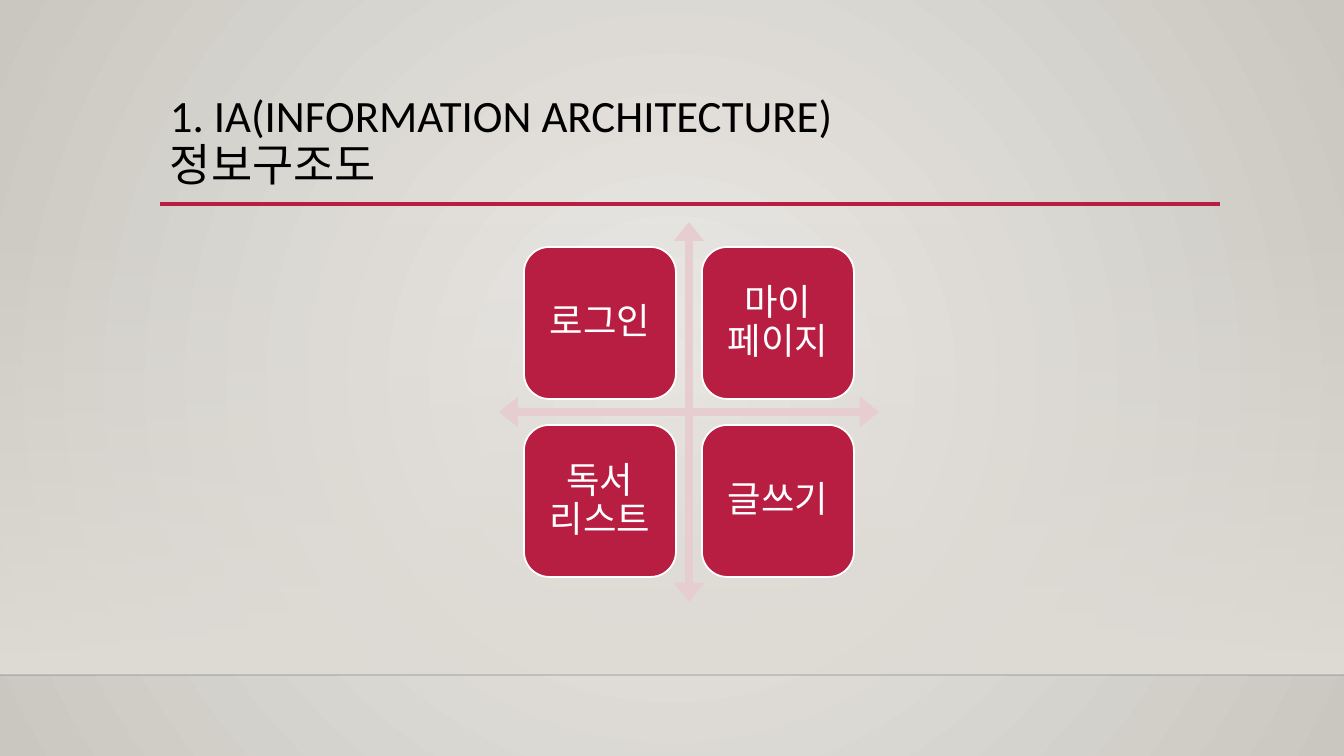
import pptx
import pptx.util
import pptx.oxml.ns
import pptx.oxml.xmlchemy
import pptx.dml.color
import pptx.enum.shapes
import pptx.enum.text
from dataclasses import dataclass

TITLE = ["1. IA(INFORMATION ARCHITECTURE)", "정보구조도"]
TILES = [["로그인", "마이 페이지"], ["독서 리스트", "글쓰기"]]

PAGE = (1344, 756)
HEAD = (160, 89, 1058, 116)
WALL = (0, 223, 1344, 452)
CROSS = (499, 222, 380, 380)
ARROW = (0.02, 0.04, 0.05)
START = (524, 247)
SIDE, PITCH, INSET = 152, 178, 11


@dataclass(frozen=True)
class Theme:
    font: str = "Calibri"
    head: int = 32
    tile: int = 26
    black: str = "000000"
    white: str = "FFFFFF"
    red: str = "B71E42"
    pink: str = "E6CDCF"
    glow: str = "ECEAE7"
    edge: str = "CAC7C1"
    wall: str = "DFDBD5"
    seam: str = "000001"


theme = Theme()
SHAPE = pptx.enum.shapes.MSO_SHAPE
ANCHOR = pptx.enum.text.MSO_ANCHOR
ALIGN = pptx.enum.text.PP_ALIGN


def px(num):
    return pptx.util.Emu(round(num * 914400 / 100.8))


def rgb(code):
    return pptx.dml.color.RGBColor.from_string(code)


def tag(parent, name, **attrs):
    node = pptx.oxml.xmlchemy.OxmlElement(name)
    for key, val in attrs.items():
        node.set(key, str(val))
    parent.append(node)
    return node


def find(node, name):
    return next(node.iter(pptx.oxml.ns.qn(name)))


def blend(fill, *codes):
    fill.gradient()
    for stop, code, pos in zip(fill.gradient_stops, codes, (0, 1)):
        stop.color.rgb = rgb(code)
        stop.position = pos


def rule(slide, left, right, top, code, width):
    line = slide.shapes.add_connector(
        pptx.enum.shapes.MSO_CONNECTOR.STRAIGHT,
        px(left), px(top), px(right), px(top))
    line.line.color.rgb = rgb(code)
    line.line.width = pptx.util.Pt(width)
    tag(line._element.spPr, "a:effectLst")
    return line


def block(slide, kind, box, code=None):
    shape = slide.shapes.add_shape(kind, *map(px, box))
    shape.shadow.inherit = False
    shape.line.fill.background()
    if code:
        shape.fill.solid()
        shape.fill.fore_color.rgb = rgb(code)
    return shape


def write(frame, lines, size, code, align):
    frame.word_wrap = True
    para = frame.paragraphs[0]
    para.alignment = align
    para.line_spacing = 0.9
    for row, text in enumerate(lines):
        if row:
            para.add_line_break()
        run = para.add_run()
        run.text = text
        run.font.name = theme.font
        run.font.size = pptx.util.Pt(size)
        run.font.color.rgb = rgb(code)


def scene(slide):
    blend(slide.background.fill, theme.glow, theme.edge)
    grad = find(slide._element, "a:gradFill")
    grad.remove(find(grad, "a:lin"))
    ring = tag(grad, "a:path", path="circle")
    tag(ring, "a:fillToRect", l=50000, t=50000, r=50000, b=50000)

    wall = block(slide, SHAPE.RECTANGLE, WALL)
    blend(wall.fill, theme.wall, theme.wall)
    wall.fill.gradient_angle = 270
    tag(find(wall._element, "a:srgbClr"), "a:alpha", val=0)

    seam = rule(slide, 0, PAGE[0], WALL[1] + WALL[3], theme.seam, 1)
    tag(find(seam._element, "a:srgbClr"), "a:alpha", val=20000)
    rule(slide, HEAD[0], 1220, 204, theme.red, 2.5)


def tile(slide, row, col, text):
    box = (START[0] + col * PITCH, START[1] + row * PITCH, SIDE, SIDE)
    shape = block(slide, SHAPE.ROUNDED_RECTANGLE, box, theme.red)
    shape.line.color.rgb = rgb(theme.white)
    shape.line.width = pptx.util.Pt(1.25)
    frame = shape.text_frame
    frame.margin_left = frame.margin_right = px(INSET)
    frame.margin_top = frame.margin_bottom = px(INSET)
    frame.vertical_anchor = ANCHOR.MIDDLE
    write(frame, [text], theme.tile, theme.white, ALIGN.CENTER)


def main():
    deck = pptx.Presentation()
    deck.slide_width, deck.slide_height = map(px, PAGE)
    slide = deck.slides.add_slide(deck.slide_layouts[6])
    scene(slide)

    head = slide.shapes.add_textbox(*map(px, HEAD))
    head.text_frame.vertical_anchor = ANCHOR.TOP
    write(head.text_frame, TITLE, theme.head, theme.black, ALIGN.LEFT)

    cross = block(slide, SHAPE.QUAD_ARROW, CROSS, theme.pink)
    for i, val in enumerate(ARROW):
        cross.adjustments[i] = val

    for row, names in enumerate(TILES):
        for col, text in enumerate(names):
            tile(slide, row, col, text)
    deck.save("out.pptx")


if __name__ == "__main__":
    main()
